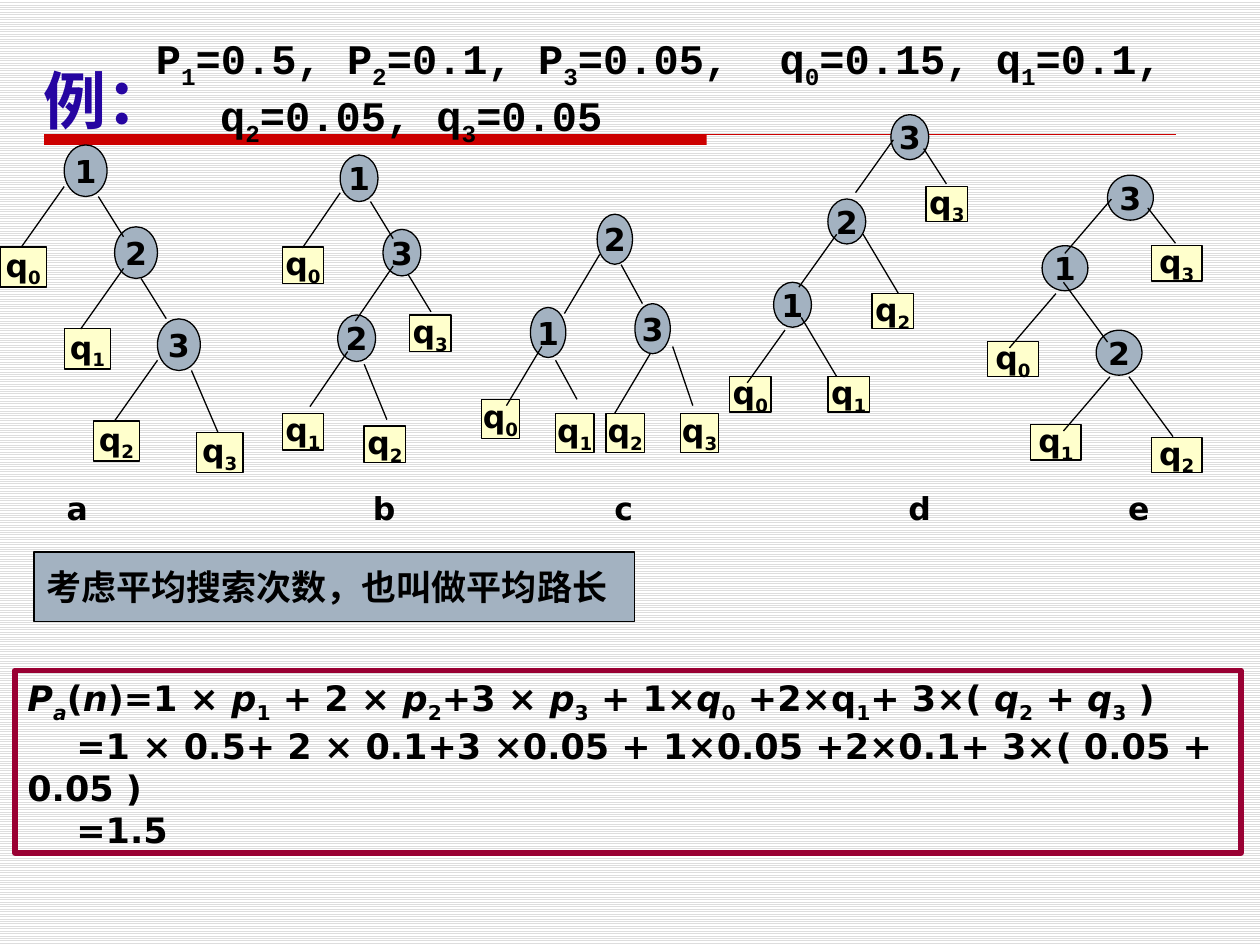
from itertools import groupby

from lxml import etree
from pptx import Presentation
from pptx.dml.color import RGBColor
from pptx.enum.dml import MSO_PATTERN
from pptx.enum.shapes import MSO_CONNECTOR, MSO_SHAPE
from pptx.enum.text import MSO_ANCHOR, PP_ALIGN
from pptx.oxml.ns import qn
from pptx.util import Pt

STRAIGHT = MSO_CONNECTOR.STRAIGHT
OVAL, RECTANGLE = MSO_SHAPE.OVAL, MSO_SHAPE.RECTANGLE
TOP, MIDDLE = MSO_ANCHOR.TOP, MSO_ANCHOR.MIDDLE
LEFT, CENTER = PP_ALIGN.LEFT, PP_ALIGN.CENTER
STRIPES = MSO_PATTERN.LIGHT_HORIZONTAL

COLORS = {
    "black": "000000", "white": "FFFFFF", "stripe": "DDDDDD", "red": "CC0000",
    "title": "2605A1", "node": "A3B2C1", "leaf": "FFFFCC", "frame": "990033",
}

TREES = [
    {"origin": (0, 82.8), "node": (24.5, 29.5), "leaf": (26.6, 23),
     "nodes": [(36.7, 0), (65.5, 46.8), (90, 99.4)],
     "leaves": [(0, 58.3), (36.7, 105.1), (53.3, 157.7), (112.3, 164.2)],
     "edges": {(-24.5, 34.6): [(36.7, 23.8), (70.6, 70.6), (90, 123.1)],
               (14.4, 23): [(56.2, 29.5), (80.6, 76.3)],
               (15.1, 35.3): [(109.4, 128.9)]}},
    {"origin": (161.3, 88.6), "node": (21.6, 26.6), "leaf": (23.8, 20.9),
     "nodes": [(33.1, 0), (31.7, 91.4), (57.6, 42.5)],
     "leaves": [(0, 52.6), (0, 147.6), (46.8, 154.8), (72.7, 91.4)],
     "edges": {(-21.6, 31.5): [(33.1, 21.6), (63.4, 63.4), (37.4, 112.3)],
               (13, 21.2): [(50.4, 26.6), (72, 68.4)],
               (13, 31.7): [(46.8, 119.5)]}},
    {"origin": (275, 122.4), "node": (20.2, 28.6), "leaf": (22, 22.3),
     "nodes": [(28.1, 53.3), (66.2, 0), (87.8, 51.1)],
     "leaves": [(0, 105.8), (42.5, 113.8), (71.3, 113.8), (113.8, 113.8)],
     "edges": {(-20.2, 33.8): [(34.6, 75.6), (67.7, 23), (96.5, 79.9)],
               (12.2, 22.3): [(42.5, 83.5), (79.9, 28.8)],
               (11.5, 33.8): [(109.4, 75.6)]}},
    {"origin": (416.9, 65.5), "node": (21.6, 25.7), "leaf": (23.8, 20.2),
     "nodes": [(25.2, 95.8), (56.2, 48.2), (92.2, 0)],
     "leaves": [(0, 149.8), (56.2, 149.8), (81.4, 102.2), (112.3, 41)],
     "edges": {(-21.6, 30.2): [(93.6, 14.4), (61.2, 68.4), (31.7, 123.1)],
               (20.2, 33.8): [(41, 115.9), (76.3, 68.4)],
               (13, 20.2): [(110.9, 19.4)]}},
    {"origin": (564.5, 100.1), "node": (26.2, 25.7), "leaf": (28.8, 20.2),
     "nodes": [(31, 40.3), (61.9, 88.6), (68.4, 0)],
     "leaves": [(0, 95), (24.5, 142.6), (93.6, 149.8), (93.6, 40.3)],
     "edges": {(-26.6, 31): [(70.6, 13.7), (38.9, 67.7), (69.8, 115.2)],
               (25.2, 34.2): [(80.6, 115.2), (43.2, 61.2)],
               (15.8, 20.2): [(91.4, 18.7)]}},
]

FORMULA = [
    "~P~_a(~n)=1 × ~p_1 + 2 × ~p_2+3 × ~p_3 + 1×~q_0 +2×q_1+ 3×( ~q_2 + ~q_3 )",
    "=1 × 0.5+ 2 × 0.1+3 ×0.05 + 1×0.05 +2×0.1+ 3×( 0.05 + 0.05 )",
    "=1.5",
]
GIVEN = ("P_1=0.5, P_2=0.1, P_3=0.05,  q_0=0.15, q_1=0.1, "
         "q_2=0.05, q_3=0.05")


def rgb(name):
    """Return the named colour."""
    return RGBColor.from_string(COLORS[name])


def split_marks(text):
    """Yield (character, subscript, italic); _ and ~ mark the next character."""
    marks = set()
    for char in text:
        if char in "_~":
            marks.add(char)
        else:
            yield char, "_" in marks, "~" in marks
            marks = set()


def write(para, text, size=18, font="DejaVu Sans", color="black", align=LEFT):
    """Fill a paragraph with bold text that may hold subscripts and italics."""
    para.alignment = align
    para.font.size, para.font.name, para.font.bold = Pt(size), font, True
    para.font.color.rgb = rgb(color)
    for (low, slanted), chars in groupby(split_marks(text), lambda mark: mark[1:]):
        span = para.add_run()
        span.text = "".join(char[0] for char in chars)
        if slanted:
            span.font.italic = True
        if low:
            span.font._element.set("baseline", "-25000")


def add_box(page, kind, box, fill=None, line="black", weight=0.75):
    """Add a flat preset shape with an optional fill and outline."""
    shape = page.shapes.add_shape(kind, *map(Pt, box))
    shape.shadow.inherit = False
    if fill:
        shape.fill.solid()
        shape.fill.fore_color.rgb = rgb(fill)
    else:
        shape.fill.background()
    if line:
        shape.line.color.rgb = rgb(line)
        shape.line.width = Pt(weight)
    else:
        shape.line.fill.background()
    return shape


def add_text(page, box):
    """Add a wrapping text box and return its first paragraph."""
    frame = page.shapes.add_textbox(*map(Pt, box)).text_frame
    frame.word_wrap = True
    return frame.paragraphs[0]


def add_line(page, start, step, color="black"):
    """Add a thin straight line from a point along a step."""
    end = (start[0] + step[0], start[1] + step[1])
    line = page.shapes.add_connector(STRAIGHT, *map(Pt, start + end))
    line.line.color.rgb = rgb(color)
    line.line.width = Pt(0.75)
    etree.SubElement(line._element.spPr, qn("a:effectLst"))


def add_heading(page, left, top):
    """Place the title, the red rule and the given probabilities."""
    add_box(page, RECTANGLE, (left + 7.2, top + 61.9, 378.7, 5.8), "red", None)
    add_line(page, (left + 7.2, top + 61.9), (646.6, 0), "red")
    write(add_text(page, (left, top + 16.6, 648, 49.7)), "例：", 36,
          "Times New Roman", "title")
    para = add_text(page, (left + 64, top, 617.8, 64))
    write(para, GIVEN, 24, "Courier New")
    para.space_before = Pt(4.8)
    props = para._p.get_or_add_pPr()
    props.set("marL", str(Pt(36.7)))
    props.set("indent", str(-Pt(36.7)))


def add_tree(page, tree):
    """Draw one search tree relative to its origin."""
    left, top = tree["origin"]
    for kind, places, size, fill, label, first in (
            (OVAL, tree["nodes"], tree["node"], "node", "", 1),
            (RECTANGLE, tree["leaves"], tree["leaf"], "leaf", "q_", 0)):
        for number, (x, y) in enumerate(places, first):
            shape = add_box(page, kind, (left + x, top + y, *size), fill)
            frame = shape.text_frame
            frame.word_wrap, frame.vertical_anchor = False, MIDDLE
            write(frame.paragraphs[0], f"{label}{number}", align=CENTER)
    for step, starts in tree["edges"].items():
        for x, y in starts:
            add_line(page, (left + x, top + y), step)


def add_labels(page, box, stops):
    """Name the trees on one line with tab stops."""
    para = add_text(page, box)
    write(para, "a\tb\tc\td\te")
    props = para._p.get_or_add_pPr()
    tabs = etree.Element(qn("a:tabLst"))
    props.insert(0, tabs)
    for stop in stops:
        etree.SubElement(tabs, qn("a:tab"), pos=str(Pt(stop)), algn="l")


def add_note(page, box):
    """Place the remark on the average path length."""
    frame = add_box(page, RECTANGLE, box, "node").text_frame
    frame.word_wrap, frame.vertical_anchor = True, MIDDLE
    write(frame.paragraphs[0], "考虑平均搜索次数，也叫做平均路长", 20)


def add_formula(page, box):
    """Place the framed calculation, its later lines indented."""
    frame = add_box(page, RECTANGLE, box, None, "frame", 3).text_frame
    frame.word_wrap, frame.vertical_anchor = True, TOP
    for index, text in enumerate(FORMULA):
        para = frame.add_paragraph() if index else frame.paragraphs[0]
        write(para, text, 20)
        if index:
            para._p.get_or_add_pPr().set("indent", str(Pt(28)))


def main():
    """Build and save the slide."""
    deck = Presentation()
    deck.slide_width, deck.slide_height = Pt(720), Pt(540)
    page = deck.slides.add_slide(deck.slide_layouts[6])
    fill = page.background.fill
    fill.patterned()
    fill.pattern = STRIPES
    fill.fore_color.rgb, fill.back_color.rgb = rgb("stripe"), rgb("white")
    add_heading(page, 18, 15.1)
    for tree in TREES:
        add_tree(page, tree)
    add_note(page, (19.4, 315.4, 343.4, 39.6))
    add_formula(page, (8.6, 383, 700.6, 104.4))
    add_labels(page, (31, 275.8, 658, 28.8), (175, 313, 481, 606.5))
    deck.save("out.pptx")


if __name__ == "__main__":
    main()
